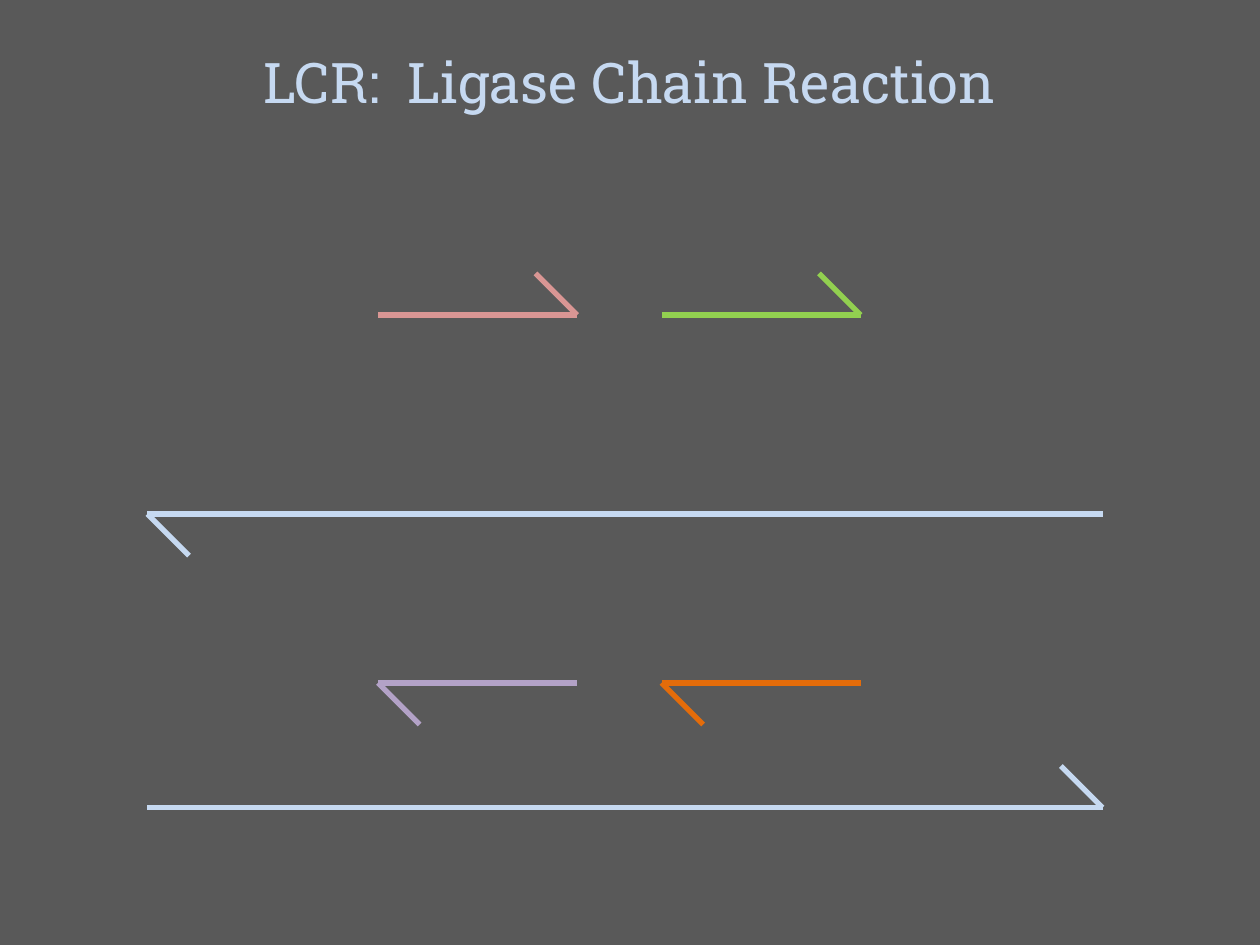
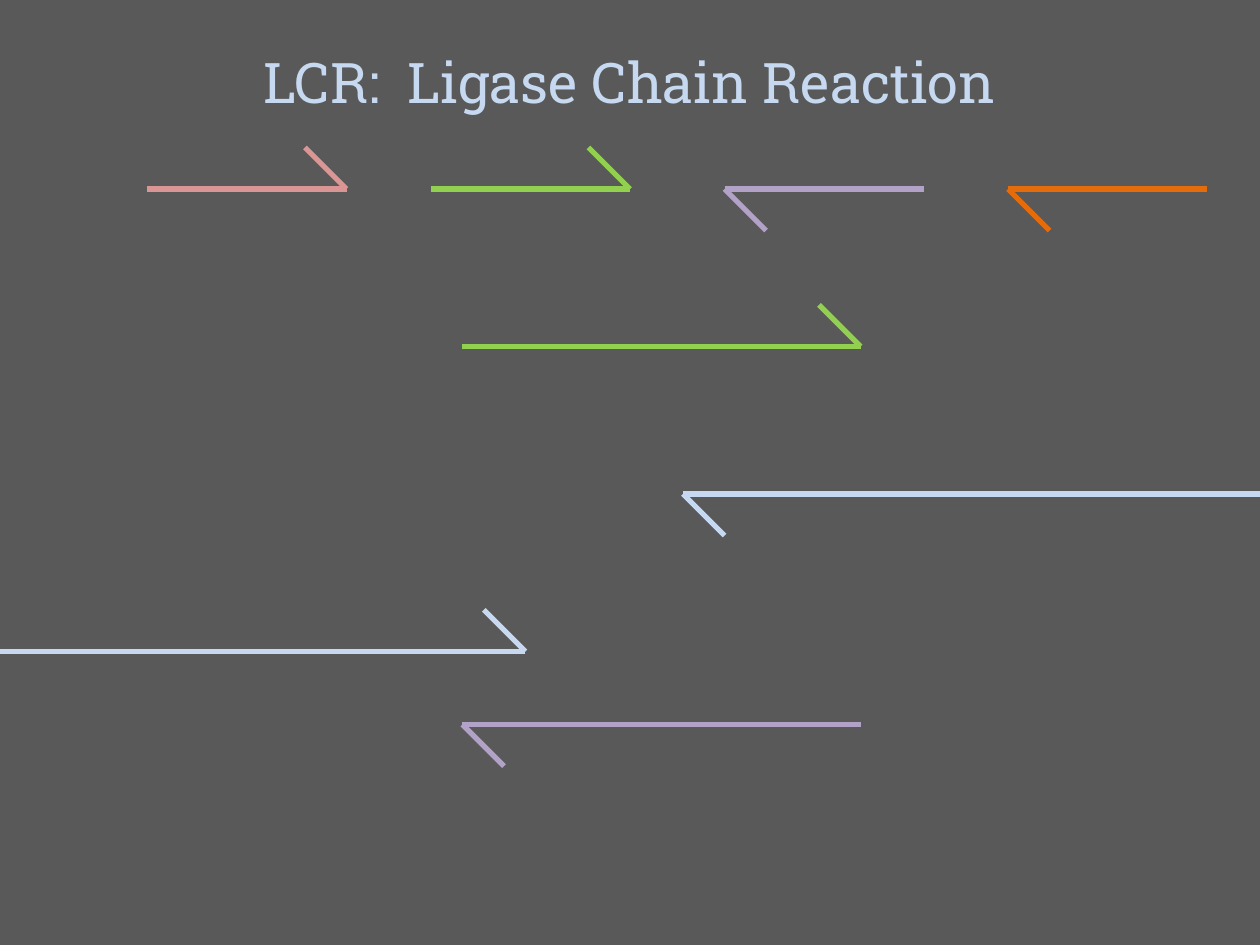
from dataclasses import dataclass

from pptx import Presentation
from pptx.dml.color import RGBColor as Rgb
from pptx.enum.shapes import MSO_CONNECTOR as Link
from pptx.enum.text import MSO_ANCHOR as Anchor, MSO_AUTO_SIZE as Fit, PP_ALIGN as Align
from pptx.oxml.ns import qn
from pptx.util import Inches, Pt
from lxml import etree


@dataclass(frozen=True)
class Theme:
    back: str = "595959"
    pale: str = "C6D9F1"
    pink: str = "D99694"
    green: str = "92D050"
    mauve: str = "B3A2C7"
    orange: str = "E46C0A"
    font: str = "Roboto Slab"
    size: int = 32
    line: int = 3


LOOK = Theme()
TITLE = "LCR:  Ligase Chain Reaction"
BARB = 0.33
PROBE, JOINED, STRAND = 1.58, 3.16, 7.58
RIGHT, LEFT = 1, -1

# Each strand: tip x, tip y, length, direction, colour
TARGETS = [
    (1.17, 4.08, STRAND, LEFT, LOOK.pale),
    (8.75, 6.41, STRAND, RIGHT, LOOK.pale),
    (4.58, 2.5, PROBE, RIGHT, LOOK.pink),
    (6.83, 2.5, PROBE, RIGHT, LOOK.green),
    (5.25, 5.42, PROBE, LEFT, LOOK.orange),
    (3, 5.42, PROBE, LEFT, LOOK.mauve),
]
LIGATED = [
    (3.67, 5.75, JOINED, LEFT, LOOK.mauve),
    (6.83, 2.75, JOINED, RIGHT, LOOK.green),
    (5.42, 3.92, STRAND, LEFT, LOOK.pale),
    (4.17, 5.17, STRAND, RIGHT, LOOK.pale),
    (2.75, 1.5, PROBE, RIGHT, LOOK.pink),
    (5, 1.5, PROBE, RIGHT, LOOK.green),
    (8, 1.5, PROBE, LEFT, LOOK.orange),
    (5.75, 1.5, PROBE, LEFT, LOOK.mauve),
]


def add_line(slide, start, end, color):
    ends = [Inches(v) for v in (*start, *end)]
    line = slide.shapes.add_connector(Link.STRAIGHT, *ends)
    line.line.color.rgb = Rgb.from_string(color)
    line.line.width = Pt(LOOK.line)
    etree.SubElement(line._element.spPr, qn("a:effectLst"))


def add_strand(slide, x, y, length, way, color):
    """Draw a half arrow: a shaft and one barb, both starting at the tip."""
    add_line(slide, (x, y), (x - way * length, y), color)
    add_line(slide, (x, y), (x - way * BARB, y - way * BARB), color)


def set_title(slide):
    title = slide.shapes.title
    title.left, title.top = Inches(0), Inches(0.33)
    title.width, title.height = Inches(10), Inches(0.64)
    frame = title.text_frame
    frame.text = TITLE
    frame.word_wrap = True
    frame.auto_size = Fit.SHAPE_TO_FIT_TEXT
    frame.vertical_anchor = Anchor.TOP
    para = frame.paragraphs[0]
    para.alignment = Align.CENTER
    font = para.runs[0].font
    font.name, font.size = LOOK.font, Pt(LOOK.size)
    font.color.rgb = Rgb.from_string(LOOK.pale)


def main():
    deck = Presentation()
    deck.slide_width, deck.slide_height = Inches(10), Inches(7.5)
    fill = deck.slide_master.background.fill
    fill.solid()
    fill.fore_color.rgb = Rgb.from_string(LOOK.back)
    layout = deck.slide_layouts.get_by_name("Title Only")
    for strands in (TARGETS, LIGATED):
        slide = deck.slides.add_slide(layout)
        set_title(slide)
        for strand in strands:
            add_strand(slide, *strand)
    deck.save("out.pptx")


if __name__ == "__main__":
    main()
